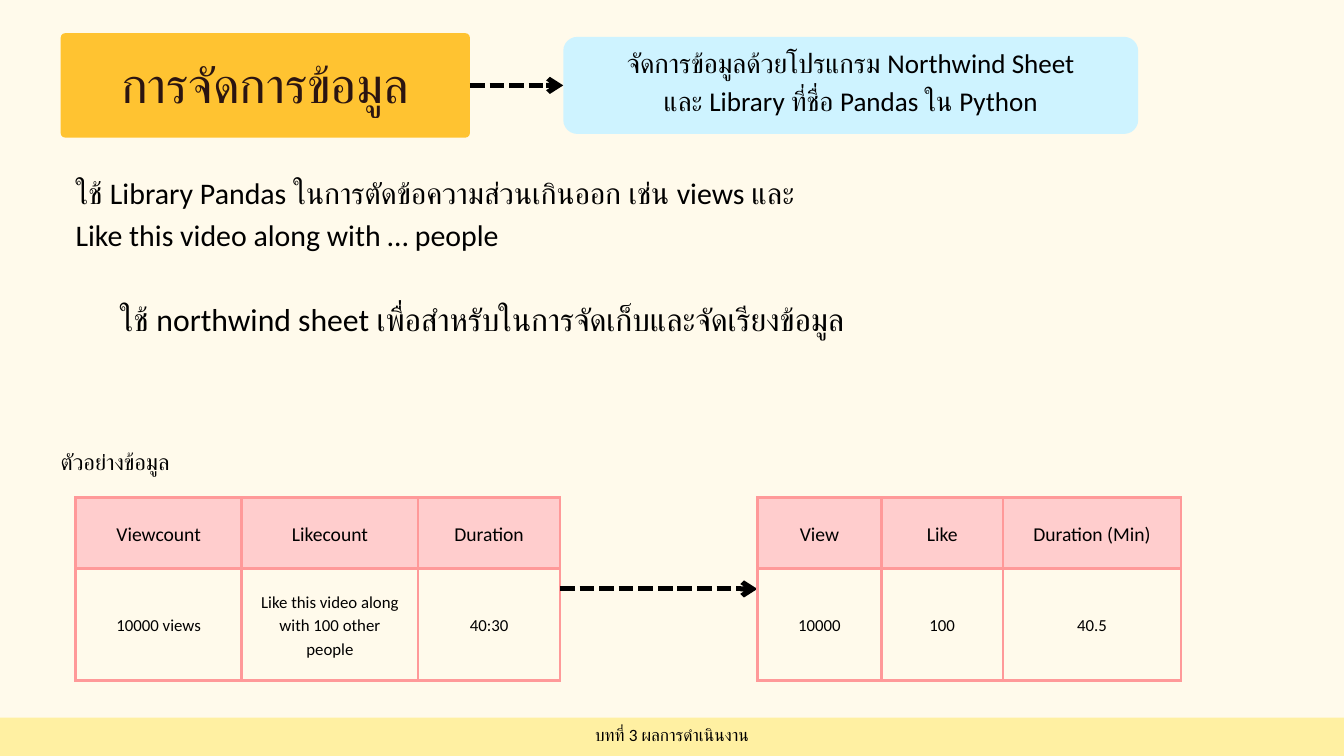
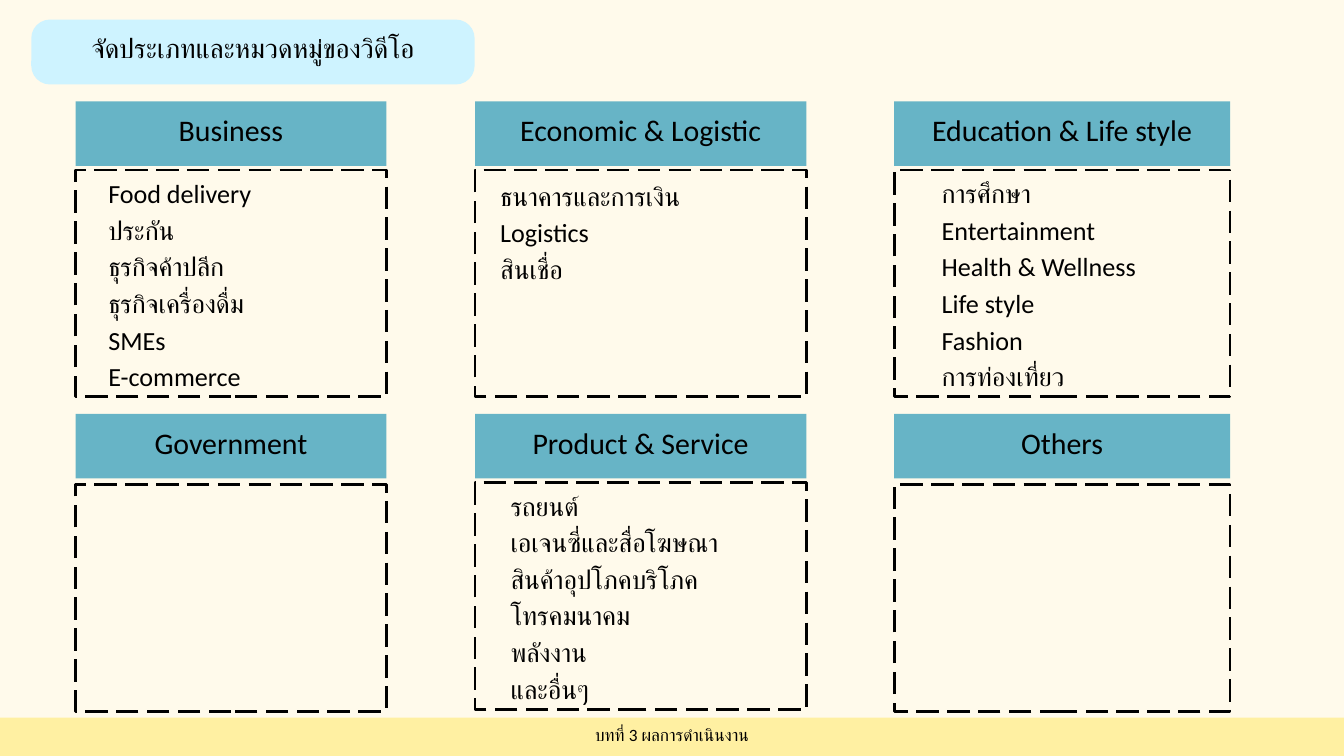
"""Build two slides on preparing and categorising video data."""
from lxml.etree import SubElement
from pptx import Presentation
from pptx.dml.color import RGBColor
from pptx.enum.dml import MSO_LINE
from pptx.enum.shapes import MSO_CONNECTOR, MSO_SHAPE
from pptx.enum.text import MSO_ANCHOR, MSO_AUTO_SIZE, PP_ALIGN
from pptx.oxml.ns import qn
from pptx.util import Pt

WIDTH, HEIGHT = 1440, 810
FONT = "Calibri"
CREAM = RGBColor(0xFF, 0xFA, 0xEB)
BLACK = RGBColor(0x00, 0x00, 0x00)
BROWN = RGBColor(0x2B, 0x15, 0x11)
AMBER = RGBColor(0xFF, 0xC3, 0x31)
SKY = RGBColor(0xCE, 0xF3, 0xFF)
TEAL = RGBColor(0x67, 0xB4, 0xC6)
LEMON = RGBColor(0xFF, 0xF0, 0xA2)
PINK = RGBColor(0xFF, 0xCD, 0xCD)
ROSE = RGBColor(0xFF, 0x99, 0x99)

LINE_RATIO = 1.4
INSET = 4.3
LIFT = 14.4
TITLE_ONLY = 5

COLUMNS = [(81, 333), (509, 355), (958, 360)]
ROW_TOPS = [108.7, 443.5]
CATEGORIES = [
    [
        ("Business", 35, 2.5, ["Food delivery", "ประกัน", "ธุรกิจค้าปลีก",
                               "ธุรกิจเครื่องดื่ม", "SMEs", "E-commerce"]),
        ("Economic & Logistic", 27, 5, ["ธนาคารและการเงิน", "Logistics", "สินเชื่อ"]),
        ("Education & Life style", 51, 2.5, ["การศึกษา", "Entertainment", "Health & Wellness",
                                             "Life style", "Fashion", "การท่องเที่ยว"]),
    ],
    [
        ("Government", 0, 0, []),
        ("Product & Service", 38, 2.5, ["รถยนต์", "เอเจนซี่และสื่อโฆษณา", "สินค้าอุปโภคบริโภค",
                                        "โทรคมนาคม", "พลังงาน", "และอื่นๆ"]),
        ("Others", 0, 0, []),
    ],
]

RAW_DATA = [["Viewcount", "Likecount", "Duration"],
            ["10000 views", "Like this video along with 100 other people", "40:30"]]
CLEAN_DATA = [["View", "Like", "Duration (Min)"], ["10000", "100", "40.5"]]


def write(tf, lines, size, align=PP_ALIGN.CENTER, color=BLACK):
    """Fill a text frame with one paragraph per line."""
    tf.word_wrap = True
    for i, line in enumerate(lines):
        p = tf.add_paragraph() if i else tf.paragraphs[0]
        p.text = line
        p.alignment = align
        p.line_spacing = Pt(round(size * LINE_RATIO, 1))
        p.font.name = FONT
        p.font.size = Pt(size)
        p.font.color.rgb = color


def set_insets(tf, left, top, right, bottom):
    """Set the four insets of a text frame or cell."""
    tf.margin_left, tf.margin_top = Pt(left), Pt(top)
    tf.margin_right, tf.margin_bottom = Pt(right), Pt(bottom)


def add_box(s, x, y, w, h, fill=None, radius=0):
    """Add a borderless box, rounded if a radius is given."""
    kind = MSO_SHAPE.ROUNDED_RECTANGLE if radius else MSO_SHAPE.RECTANGLE
    sp = s.shapes.add_shape(kind, Pt(x), Pt(y), Pt(w), Pt(h))
    sp.shadow.inherit = False
    sp.line.fill.background()
    if radius:
        sp.adjustments[0] = radius / min(w, h)
    if fill is None:
        sp.fill.background()
    else:
        sp.fill.solid()
        sp.fill.fore_color.rgb = fill
    return sp


def add_label(s, x, y, w, h, fill, lines, size, radius=0, lift=LIFT):
    """Add a filled box whose centred text sits slightly high."""
    tf = add_box(s, x, y, w, h, fill, radius).text_frame
    set_insets(tf, INSET, INSET, INSET, INSET + lift)
    tf.vertical_anchor = MSO_ANCHOR.MIDDLE
    write(tf, lines, size)


def add_title(s, x, y, w, h, fill, text, size, radius, color=BLACK):
    """Place the title placeholder over a rounded box."""
    add_box(s, x, y, w, h, fill, radius)
    title = s.shapes.title
    title.left, title.top, title.width, title.height = Pt(x), Pt(y - LIFT), Pt(w), Pt(h + LIFT)
    title.element.getparent().append(title.element)
    tf = title.text_frame
    tf.auto_size = MSO_AUTO_SIZE.NONE
    tf.vertical_anchor = MSO_ANCHOR.MIDDLE
    set_insets(tf, INSET, INSET, INSET, INSET)
    write(tf, [text], size, color=color)


def add_note(s, x, y, w, h, text, size, align=PP_ALIGN.LEFT):
    """Add a plain text box without insets."""
    tf = s.shapes.add_textbox(Pt(x), Pt(y), Pt(w), Pt(h)).text_frame
    set_insets(tf, 0, 0, 0, 0)
    write(tf, [text], size, align)


def add_arrow(s, x1, x2, y):
    """Add a dashed horizontal arrow."""
    arrow = s.shapes.add_connector(MSO_CONNECTOR.STRAIGHT, Pt(x1), Pt(y), Pt(x2), Pt(y))
    arrow.line.color.rgb = BLACK
    arrow.line.width = Pt(5.25)
    arrow.line.dash_style = MSO_LINE.SQUARE_DOT
    props = arrow.element.spPr
    SubElement(props.find(qn("a:ln")), qn("a:tailEnd"), type="arrow")
    SubElement(props, qn("a:effectLst"))


def add_borders(cell):
    """Draw the rose border on all sides of a cell."""
    props = cell._tc.get_or_add_tcPr()
    for side in ("a:lnL", "a:lnR", "a:lnT", "a:lnB"):
        ln = SubElement(props, qn(side), w=str(Pt(3)))
        fill = SubElement(ln, qn("a:solidFill"))
        SubElement(fill, qn("a:srgbClr"), val=str(ROSE))


def add_data_table(s, x, y, widths, rows):
    """Add a bordered table with a pink header row."""
    heights = [76, 120]
    frame = s.shapes.add_table(len(rows), len(widths), Pt(x), Pt(y),
                               Pt(sum(widths)), Pt(sum(heights)))
    table = frame.table
    table.first_row = table.horz_banding = False
    for column, width in zip(table.columns, widths):
        column.width = Pt(width)
    for r, (row, height) in enumerate(zip(rows, heights)):
        table.rows[r].height = Pt(height)
        for c, text in enumerate(row):
            cell = table.cell(r, c)
            set_insets(cell, 15, 15, 15, 15)
            cell.vertical_anchor = MSO_ANCHOR.MIDDLE
            write(cell.text_frame, [text], 18 if r else 21)
            add_borders(cell)
            if r:
                cell.fill.background()
            else:
                cell.fill.solid()
                cell.fill.fore_color.rgb = PINK


def add_category(s, x, y, w, name, indent, top, items):
    """Add a category heading with a dashed panel of items below."""
    add_label(s, x, y, w, 69, TEAL, [name], 32)
    gap = 4.5 if items else 6.5
    panel = add_box(s, x, y + 69 + gap, w, 243)
    panel.line.color.rgb = BLACK
    panel.line.width = Pt(3)
    panel.line.dash_style = MSO_LINE.LONG_DASH
    tf = panel.text_frame
    tf.vertical_anchor = MSO_ANCHOR.TOP
    set_insets(tf, indent, top, 0, 0)
    write(tf, items, 28, PP_ALIGN.JUSTIFY)


def new_slide(prs):
    """Start a slide with the cream background and the footer band."""
    s = prs.slides.add_slide(prs.slide_layouts[TITLE_ONLY])
    s.background.fill.solid()
    s.background.fill.fore_color.rgb = CREAM
    add_label(s, 0, 769, WIDTH, HEIGHT - 769, LEMON, ["บทที่ 3 ผลการดำเนินงาน"], 18.5, lift=8)
    return s


def build_data_slide(prs):
    """Build the slide on cleaning the data."""
    s = new_slide(prs)
    add_title(s, 65, 35.5, 438.5, 112, AMBER, "การจัดการข้อมูล", 53.5, 5, BROWN)
    add_arrow(s, 503.5, 603.5, 91.5)
    add_label(s, 603.5, 39.5, 616, 104, SKY,
              ["จัดการข้อมูลด้วยโปรแกรม Northwind Sheet",
               "และ Library ที่ชื่อ Pandas ใน Python"], 29, 15)
    add_note(s, 81, 181, 792, 86, "ใช้ Library Pandas ในการตัดข้อความส่วนเกินออก เช่น views และ "
             "Like this video along with … people", 32)
    add_note(s, 81, 314.5, 871, 45,
             "ใช้ northwind sheet เพื่อสำหรับในการจัดเก็บและจัดเรียงข้อมูล", 34, PP_ALIGN.CENTER)
    add_note(s, 65, 475, 145, 32, "ตัวอย่างข้อมูล", 24)
    add_data_table(s, 81, 533, [178, 189, 152], RAW_DATA)
    add_arrow(s, 600, 811.5, 631)
    add_data_table(s, 811.5, 533, [133, 130, 191], CLEAN_DATA)


def build_category_slide(prs):
    """Build the slide with the grid of video categories."""
    s = new_slide(prs)
    add_title(s, 33.5, 21, 475, 69.5, SKY, "จัดประเภทและหมวดหมู่ของวิดีโอ", 29, 20)
    for y, row in zip(ROW_TOPS, CATEGORIES):
        for (x, w), category in zip(COLUMNS, row):
            add_category(s, x, y, w, *category)


def main():
    """Build and save the presentation."""
    prs = Presentation()
    prs.slide_width, prs.slide_height = Pt(WIDTH), Pt(HEIGHT)
    build_data_slide(prs)
    build_category_slide(prs)
    prs.save("out.pptx")


if __name__ == "__main__":
    main()
